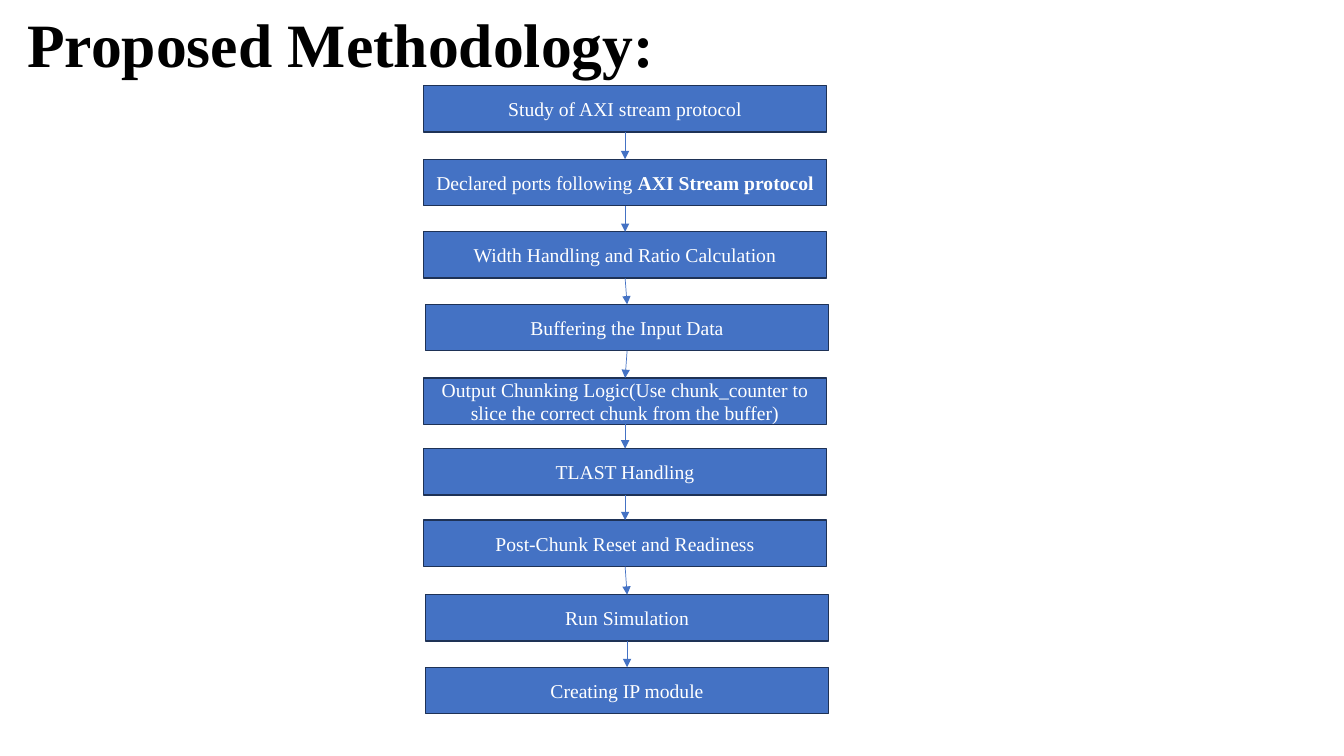
"""Build a slide with the nine steps of the proposed methodology as a flow chart."""
from dataclasses import dataclass
from itertools import pairwise

import lxml.etree
import pptx
import pptx.dml.color
import pptx.enum.shapes
import pptx.enum.text
import pptx.oxml.ns
import pptx.util

Inches = pptx.util.Inches
Pt = pptx.util.Pt
RGB = pptx.dml.color.RGBColor
qn = pptx.oxml.ns.qn
Align = pptx.enum.text.PP_ALIGN
Anchor = pptx.enum.text.MSO_ANCHOR


@dataclass(frozen=True)
class Theme:
    font: str = "Times New Roman"
    ink: RGB = RGB(0, 0, 0)
    white: RGB = RGB(255, 255, 255)
    blue: RGB = RGB(0x44, 0x72, 0xC4)
    edge: RGB = RGB(0x1E, 0x32, 0x56)
    head: Pt = Pt(44)
    body: Pt = Pt(14)


theme = Theme()


def write(par, text, size, color, bold=False):
    run = par.add_run()
    run.text = text
    run.font.name = theme.font
    run.font.size = size
    run.font.color.rgb = color
    run.font.bold = bold


deck = pptx.Presentation()
deck.slide_width, deck.slide_height = Inches(13.33), Inches(7.5)
slide = deck.slides.add_slide(deck.slide_layouts[5])

title = slide.shapes.title
title.left, title.top = Inches(0.17), Inches(-0.25)
title.width, title.height = Inches(11.5), Inches(1.45)
frame = title.text_frame
frame.auto_size = pptx.enum.text.MSO_AUTO_SIZE.NONE
frame.vertical_anchor = Anchor.MIDDLE
par = frame.paragraphs[0]
par.alignment = Align.LEFT
par.line_spacing = 0.9
write(par, "Proposed Methodology:", theme.head, theme.ink, True)

steps = [
    (4.2, 0.85, "Study of AXI stream protocol", ""),
    (4.2, 1.58, "Declared ports following ", "AXI Stream protocol"),
    (4.2, 2.3, "Width Handling and Ratio Calculation", ""),
    (4.22, 3.02, "Buffering the Input Data", ""),
    (4.2, 3.75, "Output Chunking Logic(Use chunk_counter to slice "
                "the correct chunk from the buffer)", ""),
    (4.2, 4.45, "TLAST Handling", ""),
    (4.2, 5.16, "Post-Chunk Reset and Readiness", ""),
    (4.22, 5.9, "Run Simulation", ""),
    (4.22, 6.62, "Creating IP module", ""),
]

boxes = []
for left, top, plain, strong in steps:
    box = slide.shapes.add_shape(
        pptx.enum.shapes.MSO_SHAPE.RECTANGLE,
        Inches(left), Inches(top), Inches(4), Inches(0.46))
    box.shadow.inherit = False
    box.fill.solid()
    box.fill.fore_color.rgb = theme.blue
    box.line.color.rgb = theme.edge
    box.line.width = Pt(1)
    box.text_frame.word_wrap = True
    box.text_frame.vertical_anchor = Anchor.MIDDLE
    par = box.text_frame.paragraphs[0]
    par.alignment = Align.CENTER
    write(par, plain, theme.body, theme.white)
    if strong:
        write(par, strong, theme.body, theme.white, True)
    boxes.append(box)

for upper, lower in pairwise(boxes):
    arrow = slide.shapes.add_connector(
        pptx.enum.shapes.MSO_CONNECTOR.STRAIGHT, 0, 0, 0, 0)
    arrow.begin_connect(upper, 2)
    arrow.end_connect(lower, 0)
    arrow.line.color.rgb = theme.blue
    arrow.line.width = Pt(0.5)
    props = arrow.element.spPr
    lxml.etree.SubElement(props.find(qn("a:ln")), qn("a:tailEnd"), type="triangle")
    lxml.etree.SubElement(props, qn("a:effectLst"))

deck.save("out.pptx")
